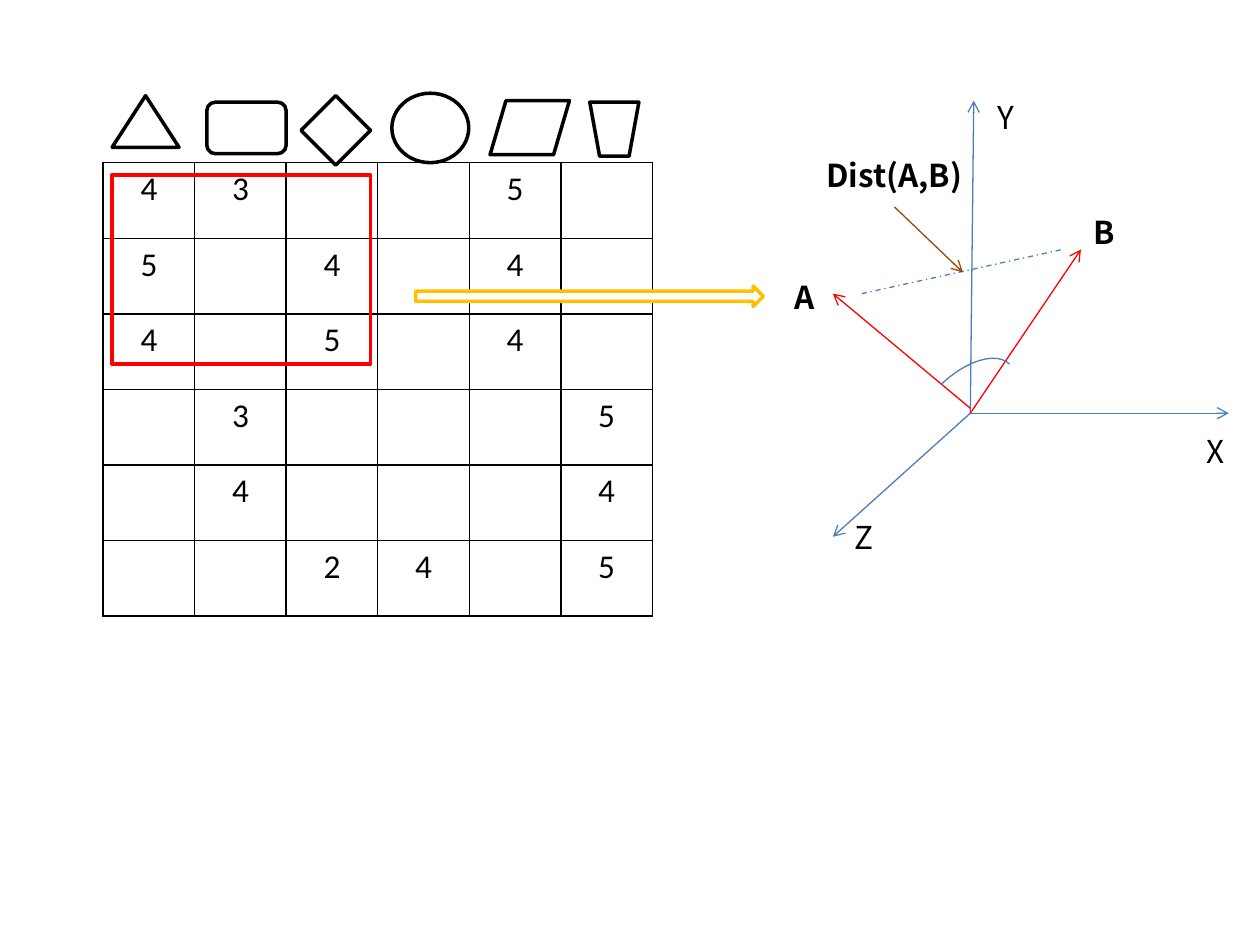
from lxml import etree
from pptx import Presentation
from pptx.dml.color import RGBColor
from pptx.enum.dml import MSO_LINE_DASH_STYLE as Dash
from pptx.enum.shapes import MSO_CONNECTOR as Connector, MSO_SHAPE as Shape
from pptx.enum.text import MSO_AUTO_SIZE as AutoSize, PP_ALIGN as Align
from pptx.oxml.ns import qn
from pptx.util import Cm, Pt

BLACK = RGBColor(0x00, 0x00, 0x00)
WHITE = RGBColor(0xFF, 0xFF, 0xFF)
RED = RGBColor(0xFF, 0x00, 0x00)
BLUE = RGBColor(0x4B, 0x7E, 0xBC)
GOLD = RGBColor(0xFF, 0xC0, 0x00)
BROWN = RGBColor(0x98, 0x48, 0x07)

RATINGS = ["43  5 ", "5 4 4 ", "4 5 4 ", " 3   5", " 4   4", "  24 5"]

ITEMS = [
    (Shape.FLOWCHART_EXTRACT, 2.26, 1.93, 1.35, 1.04),
    (Shape.FLOWCHART_ALTERNATE_PROCESS, 4.17, 2.06, 1.6, 1.04),
    (Shape.FLOWCHART_DECISION, 6.07, 1.93, 1.4, 1.4),
    (Shape.FLOWCHART_DATA, 9.88, 2.03, 1.6, 1.09),
    (Shape.FLOWCHART_MANUAL_OPERATION, 11.89, 2.06, 0.99, 1.09),
    (Shape.FLOWCHART_CONNECTOR, 7.9, 1.88, 1.55, 1.4),
]

ORIGIN = (19.56, 8.33)
VECTORS = [
    (ORIGIN, (19.63, 2.03), BLUE),
    (ORIGIN, (24.77, 8.33), BLUE),
    (ORIGIN, (16.79, 10.82), BLUE),
    (ORIGIN, (21.79, 5.03), RED),
    ((19.56, 8.23), (16.79, 5.92), RED),
]


class Sketch:
    table_font = "Calibri"
    label_font = "Noto Sans CJK SC"
    thick, thin = Pt(2), Pt(0.75)

    def __init__(self, page):
        self.page = page

    def add_span(self, para, text, font, size, bold=False):
        span = para.add_run()
        span.text = text
        span.font.name = font
        span.font.size = Pt(size)
        span.font.bold = bold
        span.font.color.rgb = BLACK

    def border(self, cell):
        """Draw a black 1 pt line on all four sides of the cell."""
        props = cell._tc.get_or_add_tcPr()
        for index, side in enumerate(("a:lnL", "a:lnR", "a:lnT", "a:lnB")):
            line = etree.Element(qn(side), w=str(Pt(1)))
            fill = etree.SubElement(line, qn("a:solidFill"))
            etree.SubElement(fill, qn("a:srgbClr"), val=str(BLACK))
            props.insert(index, line)

    def grid(self, rows, left, top, width, height):
        frame = self.page.shapes.add_table(
            len(rows), len(rows[0]), Cm(left), Cm(top), Cm(width), Cm(height))
        table = frame.table
        table.first_row = table.horz_banding = False
        for r, row in enumerate(rows):
            for c, value in enumerate(row):
                cell = table.cell(r, c)
                cell.fill.background()
                self.border(cell)
                if value != " ":
                    para = cell.text_frame.paragraphs[0]
                    para.alignment = Align.CENTER
                    self.add_span(para, value, self.table_font, 19)

    def outline(self, kind, left, top, width, height, color,
                weight=thick, fill=None, rotation=0):
        shape = self.page.shapes.add_shape(
            kind, Cm(left), Cm(top), Cm(width), Cm(height))
        shape.shadow.inherit = False
        shape.rotation = rotation
        shape.line.color.rgb = color
        shape.line.width = weight
        if fill is None:
            shape.fill.background()
        else:
            shape.fill.solid()
            shape.fill.fore_color.rgb = fill

    def line(self, start, end, color, arrow=True, dash=None):
        line = self.page.shapes.add_connector(
            Connector.STRAIGHT, *(Cm(value) for value in start + end))
        line.line.color.rgb = color
        line.line.width = self.thin
        if dash is not None:
            line.line.dash_style = dash
        if arrow:
            etree.SubElement(line.line._get_or_add_ln(), qn("a:tailEnd"), type="arrow")
        etree.SubElement(line._element.spPr, qn("a:effectLst"))

    def label(self, text, left, top, width, bold=False, wrap=True):
        box = self.page.shapes.add_textbox(Cm(left), Cm(top), Cm(width), Cm(1.02))
        box.text_frame.word_wrap = wrap
        box.text_frame.auto_size = AutoSize.SHAPE_TO_FIT_TEXT
        self.add_span(box.text_frame.paragraphs[0], text, self.label_font, 18, bold)


def main():
    deck = Presentation()
    deck.slide_width, deck.slide_height = Cm(25.4), Cm(19.05)
    sketch = Sketch(deck.slides.add_slide(deck.slide_layouts[6]))

    sketch.grid(RATINGS, 2.08, 3.28, 11.07, 9.14)
    for kind, *place in ITEMS:
        sketch.outline(kind, *place, BLACK, fill=WHITE)
    sketch.outline(Shape.RECTANGLE, 2.26, 3.53, 5.21, 3.81, RED)

    for start, end, color in VECTORS:
        sketch.line(start, end, color)
    sketch.outline(Shape.ARC, 18.14, 7.57, 2.57, 1.32, BLUE,
                   weight=sketch.thin, rotation=316.2)
    for axis, left, top in (("Y", 19.86, 1.85), ("Z", 16.97, 10.31), ("X", 24.08, 8.59)):
        sketch.label(axis, left, top, 1.4)

    sketch.outline(Shape.RIGHT_ARROW, 8.38, 5.77, 7.01, 0.41, GOLD, fill=WHITE)
    sketch.line((17.37, 5.92), (21.41, 5.03), BLUE, arrow=False, dash=Dash.DASH_DOT)
    sketch.label("A", 15.77, 5.49, 0.99, bold=True)
    sketch.label("B", 21.79, 4.17, 0.94, bold=True, wrap=False)
    sketch.label("Dist(A,B)", 16.41, 3.02, 3.99, bold=True)
    sketch.line((18.03, 4.17), (19.41, 5.49), BROWN)

    deck.save("out.pptx")


if __name__ == "__main__":
    main()
